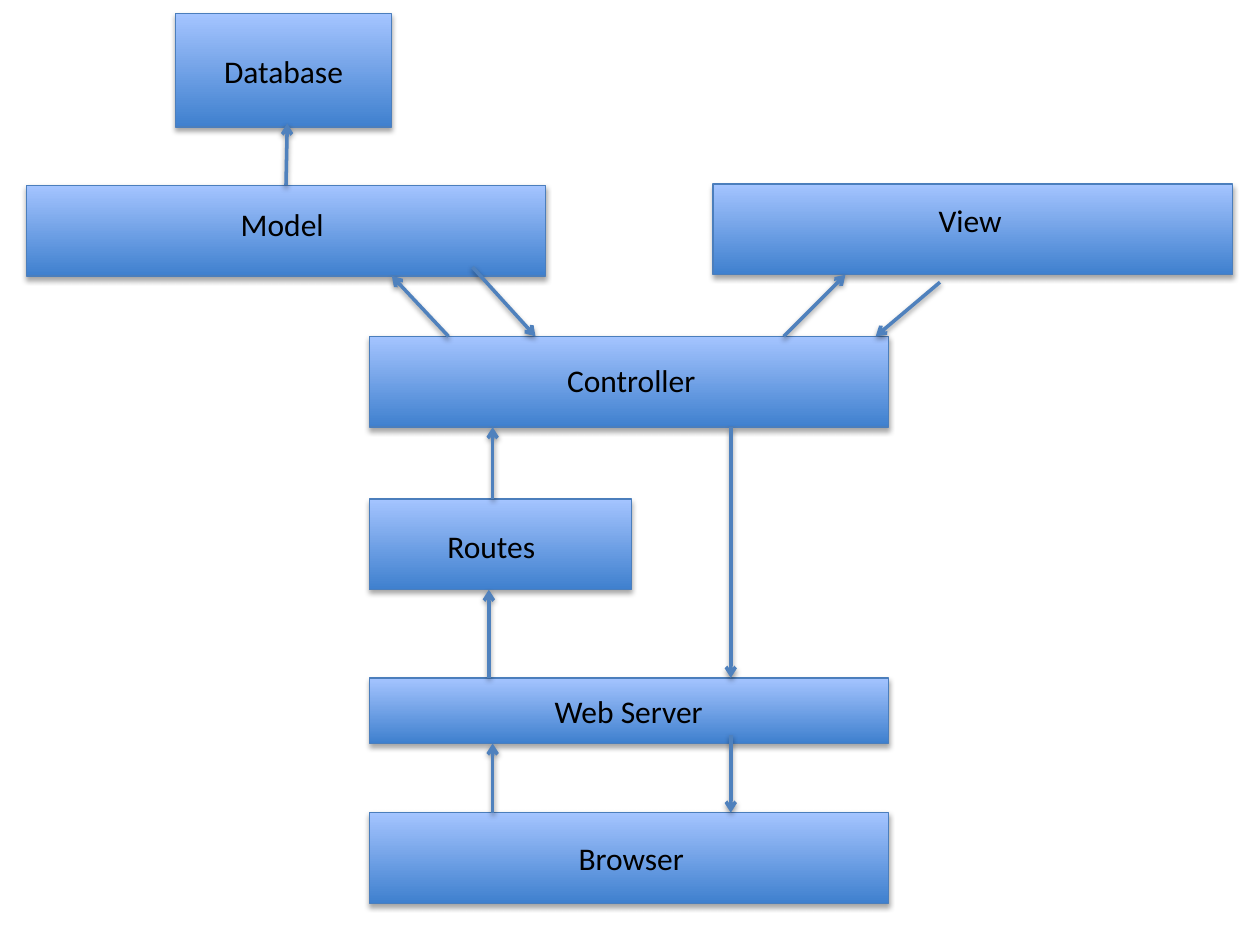
from lxml import etree
from pptx import Presentation, util as u
from pptx.dml.color import RGBColor
from pptx.enum import shapes, text
from pptx.oxml.ns import qn

WIDE, TALL = 4.12, 0.72
LABEL_WIDTH, LABEL_HEIGHT = 3.8, 0.4


def paint(color, value):
    """Give a colour format the hex value."""
    color.rgb = RGBColor.from_string(value)


def cast_shadow(part, alpha, distance):
    """Add a soft black shadow straight below a shape or connector."""
    effects = etree.SubElement(part._element.spPr, qn("a:effectLst"))
    shadow = etree.SubElement(
        effects, qn("a:outerShdw"), blurRad=str(u.Pt(3.1)), dist=str(u.Pt(distance)),
        dir="5400000", rotWithShape="0")
    black = etree.SubElement(shadow, qn("a:srgbClr"), val="000000")
    etree.SubElement(black, qn("a:alpha"), val=str(alpha * 1000))


def write(frame, wording):
    """Set one centred black line of text."""
    frame.text = wording
    paragraph = frame.paragraphs[0]
    paragraph.alignment = text.PP_ALIGN.CENTER
    font = paragraph.runs[0].font
    font.name, font.size = "Calibri", u.Pt(18)
    paint(font.color, "000000")


def layer(slide, wording, left, top, width=WIDE, height=TALL, label=None):
    """Draw a layer box, its name centred or at a label offset from the box."""
    box = slide.shapes.add_shape(
        shapes.MSO_SHAPE.RECTANGLE, *map(u.Inches, (left, top, width, height)))
    box.fill.gradient()
    box.fill.gradient_angle = 90
    for stop, position, value in zip(box.fill.gradient_stops, (0, 1), ("3F80CE", "A4C4FF")):
        stop.position = position
        paint(stop.color, value)
    paint(box.line.color, "4B7EBC")
    box.line.width = u.Pt(0.75)
    cast_shadow(box, 35, 1.8)
    frame = box.text_frame
    if label:
        dx, dy = label
        frame = slide.shapes.add_textbox(*map(
            u.Inches, (left + dx, top + dy, LABEL_WIDTH, LABEL_HEIGHT))).text_frame
        frame.word_wrap = True
        frame.auto_size = text.MSO_AUTO_SIZE.SHAPE_TO_FIT_TEXT
    else:
        frame.vertical_anchor = text.MSO_ANCHOR.MIDDLE
    write(frame, wording)


def flow(slide, *ends):
    """Draw an arrow given its start x, y and end x, y."""
    arrow = slide.shapes.add_connector(shapes.MSO_CONNECTOR.STRAIGHT, *map(u.Inches, ends))
    paint(arrow.line.color, "4F81BD")
    arrow.line.width = u.Pt(2)
    etree.SubElement(arrow.line._get_or_add_ln(), qn("a:tailEnd"), type="arrow")
    cast_shadow(arrow, 38, 1.6)


def architecture(slide):
    """Lay out the request path from browser to database and back."""
    stack = 2.93
    layer(slide, "Browser", stack, 6.45, label=(0.18, 0.16))
    layer(slide, "Web Server", stack, 5.38, height=0.52)
    layer(slide, "Routes", stack, 3.96, width=2.08, label=(-0.93, 0.17))
    layer(slide, "Controller", stack, 2.67, label=(0.18, 0.15))
    layer(slide, "View", 5.66, 1.46, label=(0.14, 0.09))
    layer(slide, "Model", 0.21, 1.47, label=(0.13, 0.11))
    layer(slide, "Database", 1.39, 0.11, 1.72, 0.9)

    request, response = 3.91, 5.8
    for ends in (
        (request, 6.45, request, 5.9),
        (3.88, 5.38, 3.88, 4.68),
        (request, 3.96, request, 3.39),
        (3.56, 2.67, 3.11, 2.19),
        (2.27, 1.47, 2.28, 0.98),
        (3.75, 2.12, 4.25, 2.67),
        (6.22, 2.67, 6.71, 2.18),
        (7.46, 2.24, 6.95, 2.67),
        (response, 3.39, response, 5.38),
        (response, 5.83, response, 6.45),
    ):
        flow(slide, *ends)


deck = Presentation()
deck.slide_width, deck.slide_height = u.Inches(10), u.Inches(7.5)
architecture(deck.slides.add_slide(deck.slide_layouts[6]))
deck.save("out.pptx")
